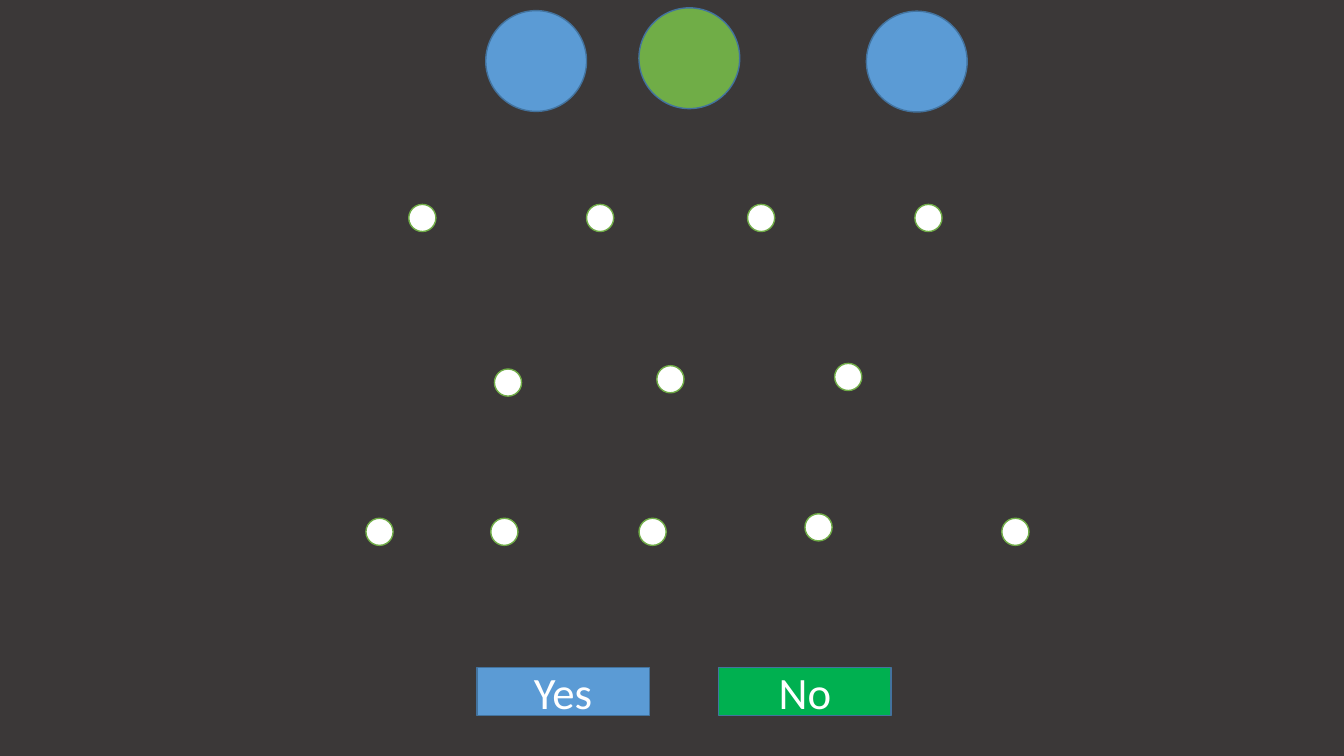
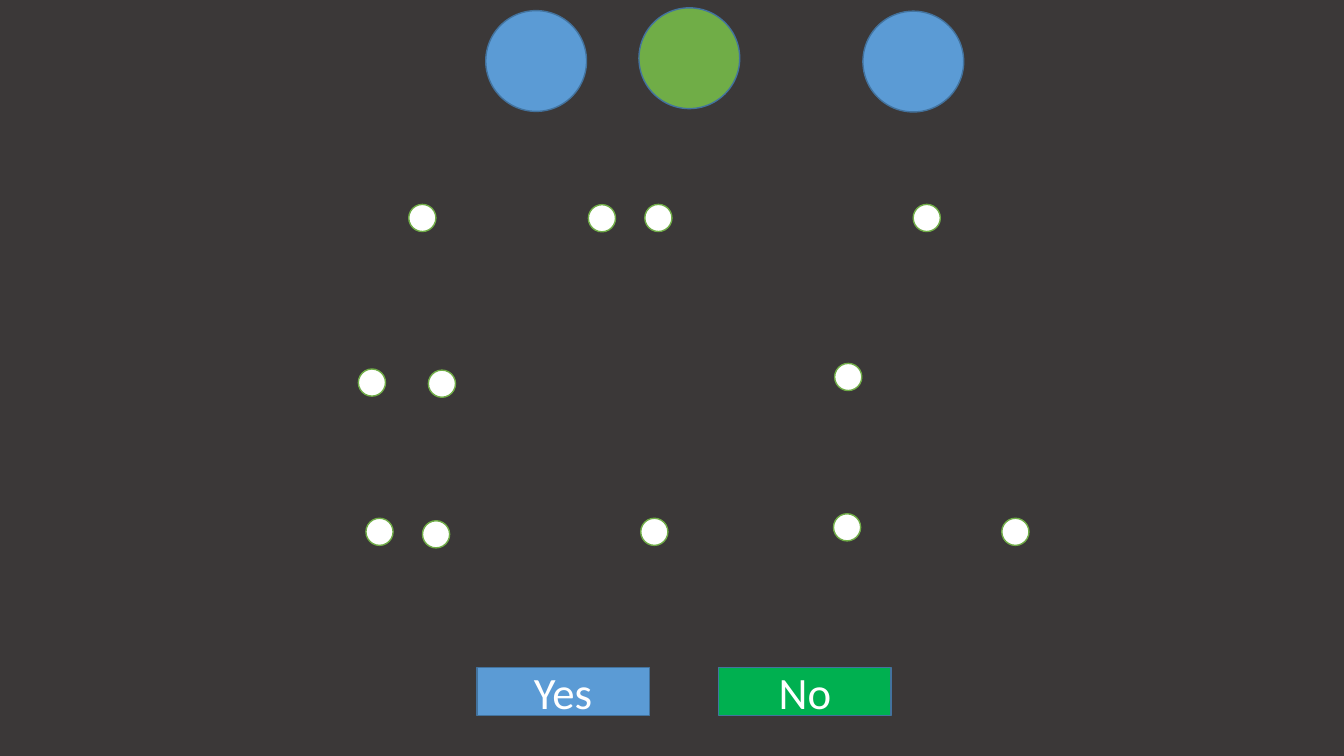
from dataclasses import dataclass

from pptx import Presentation
from pptx.dml.color import RGBColor
from pptx.enum.shapes import MSO_SHAPE
from pptx.enum.text import MSO_ANCHOR, PP_ALIGN
from pptx.util import Pt

OVAL, RECTANGLE = MSO_SHAPE.OVAL, MSO_SHAPE.RECTANGLE
MIDDLE, CENTER = MSO_ANCHOR.MIDDLE, PP_ALIGN.CENTER


@dataclass(frozen=True)
class Theme:
    background: str = "3B3838"
    blue: str = "5B9BD5"
    dark_blue: str = "43739E"
    green: str = "70AD47"
    button_green: str = "00B050"
    white: str = "FFFFFF"
    font: str = "Calibri"
    button_size: int = 32
    line_width: int = 1


THEME = Theme()

# Content shared by both slides: positions are left, top in points
SLIDE_SIZE = (960, 540)
DISC_SIZE, DOT_SIZE = 72, 19.4
BUTTON_TOP, BUTTON_WIDTH, BUTTON_HEIGHT = 476.6, 123.2, 34.6
BUTTONS = [("Yes", 340.6, THEME.blue), ("No", 513.4, THEME.button_green)]
SHARED_DISCS = [(347, 7.6, THEME.blue), (456.4, 5.6, THEME.green)]
RIGHT_DISC_TOP = 8
SHARED_DOTS = [(292, 146), (596.2, 259.6), (261.4, 370.2), (715.6, 370.2)]

# Content that moves from slide to slide
SLIDES = [
    {
        "right_disc": 618.9,
        "dots": [
            (419, 146), (534, 146), (653.5, 146),
            (353.2, 263.6), (469.2, 261.2),
            (350.6, 370.2), (456.5, 370.2), (575, 367),
        ],
    },
    {
        "right_disc": 616.4,
        "dots": [
            (420.3, 146.2), (460.6, 146), (652.3, 146),
            (256, 263.6), (306, 264.4),
            (301.8, 372), (457.7, 370.2), (595.4, 367),
        ],
    },
]


def color(value):
    return RGBColor.from_string(value)


def add_figure(slide, kind, left, top, width, height, fill, line):
    shape = slide.shapes.add_shape(kind, Pt(left), Pt(top), Pt(width), Pt(height))
    shape.shadow.inherit = False
    shape.fill.solid()
    shape.fill.fore_color.rgb = color(fill)
    shape.line.color.rgb = color(line)
    shape.line.width = Pt(THEME.line_width)
    return shape


def write_text(shape, text, *, size, font=THEME.font, fill=THEME.white, align=CENTER):
    frame = shape.text_frame
    frame.word_wrap = True
    frame.vertical_anchor = MIDDLE
    paragraph = frame.paragraphs[0]
    paragraph.alignment = align
    run = paragraph.add_run()
    run.text = text
    run.font.name = font
    run.font.size = Pt(size)
    run.font.color.rgb = color(fill)


def build_slide(presentation, content):
    slide = presentation.slides.add_slide(presentation.slide_layouts[6])

    # Large discs
    right_disc = (content["right_disc"], RIGHT_DISC_TOP, THEME.blue)
    for left, top, fill in SHARED_DISCS + [right_disc]:
        add_figure(slide, OVAL, left, top, DISC_SIZE, DISC_SIZE, fill, THEME.dark_blue)

    # Small dots
    for left, top in SHARED_DOTS + content["dots"]:
        add_figure(slide, OVAL, left, top, DOT_SIZE, DOT_SIZE, THEME.white, THEME.green)

    # Answer buttons
    for label, left, fill in BUTTONS:
        button = add_figure(slide, RECTANGLE, left, BUTTON_TOP, BUTTON_WIDTH,
                            BUTTON_HEIGHT, fill, THEME.dark_blue)
        write_text(button, label, size=THEME.button_size)


def main():
    presentation = Presentation()
    presentation.slide_width, presentation.slide_height = map(Pt, SLIDE_SIZE)

    # Background common to all slides
    background = presentation.slide_master.background.fill
    background.solid()
    background.fore_color.rgb = color(THEME.background)

    for content in SLIDES:
        build_slide(presentation, content)
    presentation.save("out.pptx")


if __name__ == "__main__":
    main()
